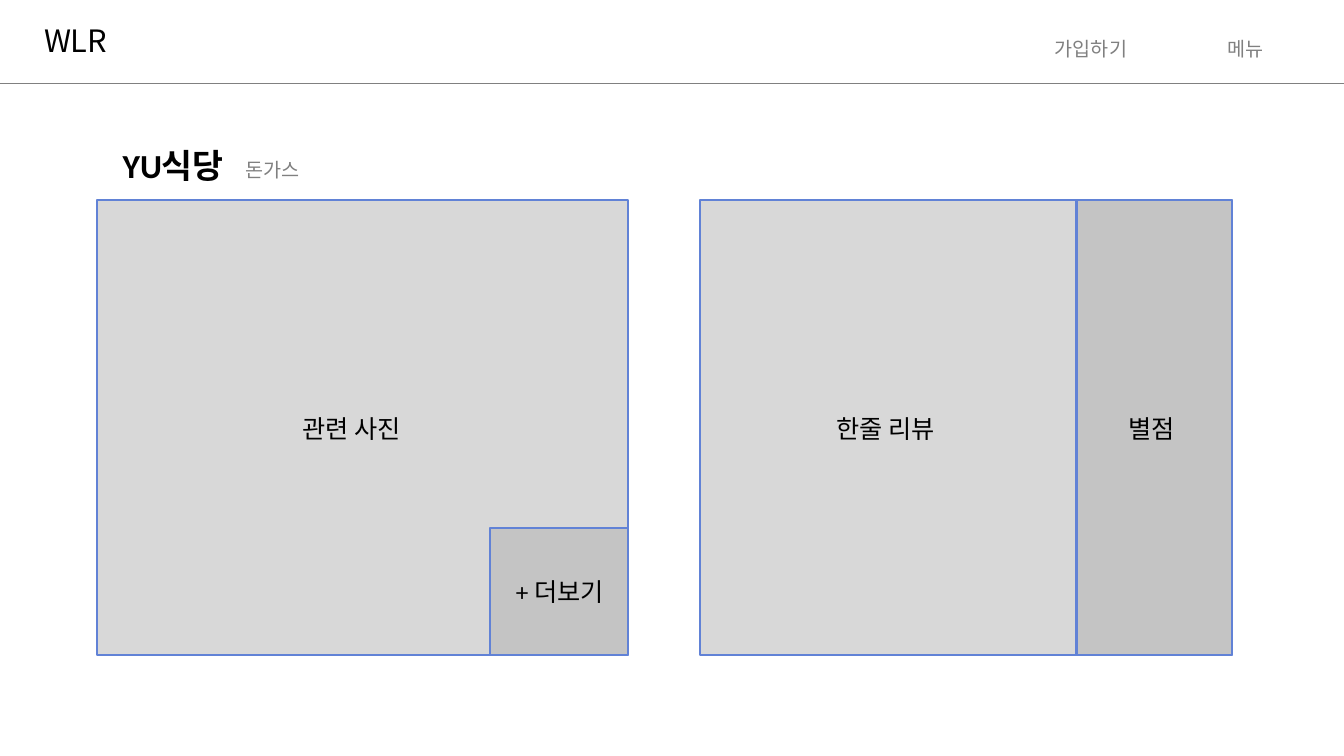
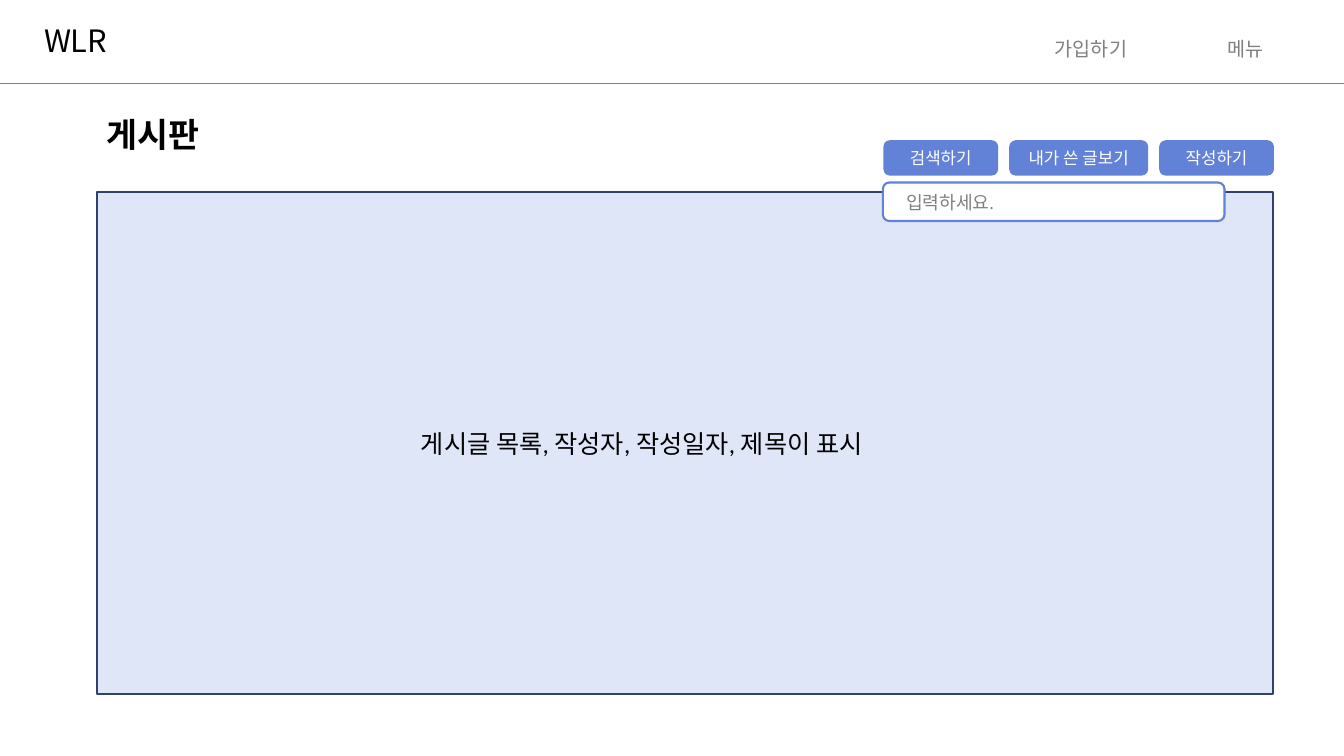
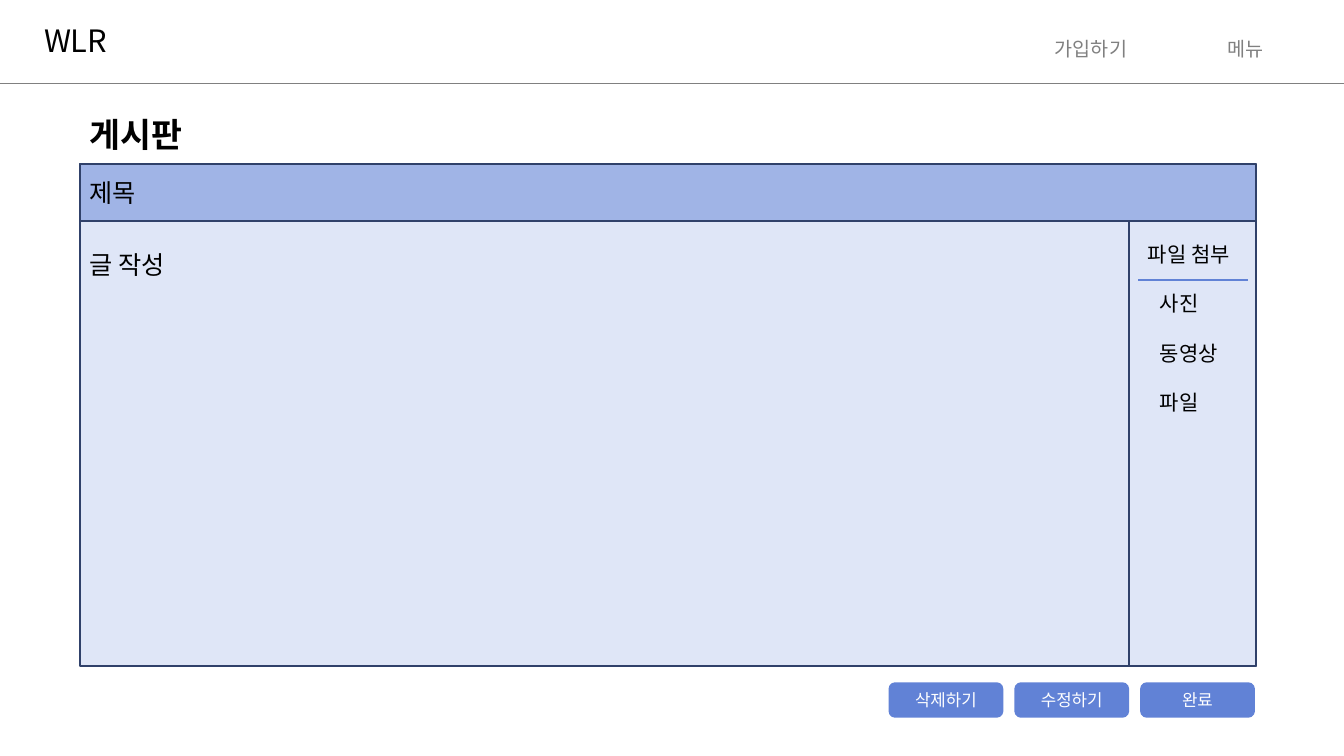
from pptx import Presentation
from pptx.dml.color import RGBColor
from pptx.enum.shapes import MSO_CONNECTOR, MSO_SHAPE
from pptx.enum.text import MSO_ANCHOR, PP_ALIGN
from pptx.oxml.ns import qn
from pptx.util import Cm, Pt
from lxml.etree import SubElement

# Shared style
BLACK = RGBColor(0x00, 0x00, 0x00)
WHITE = RGBColor(0xFF, 0xFF, 0xFF)
GRAY = RGBColor(0x80, 0x80, 0x80)
PANEL_GRAY = RGBColor(0xB2, 0xB2, 0xB2)
BLUE = RGBColor(0x61, 0x82, 0xD6)
PALE_BLUE = RGBColor(0xDF, 0xE6, 0xF7)
MID_BLUE = RGBColor(0xA0, 0xB4, 0xE6)
NAVY = RGBColor(0x30, 0x41, 0x6A)

BODY_FONT = "Calibri"
LOGO_FONT = "Noto Sans CJK KR"
SLIDE_W, SLIDE_H = 33.87, 19.05
BOARD_W, BOARD_H = 29.64, 12.65
BUTTON_W, BUTTON_H, BUTTON_GAP = 2.84, 0.84, 0.33


# Element builders (lengths in centimetres)
def add_run(paragraph, content, size, color, bold=False, font=BODY_FONT):
    run = paragraph.add_run()
    run.text = content
    run.font.size = Pt(size)
    run.font.bold = bold
    run.font.color.rgb = color
    run.font.name = font
    SubElement(run.font._element, qn("a:ea")).set("typeface", font)


def add_label(slide, x, y, width, lines, size=18, color=BLACK, bold=False,
              align=PP_ALIGN.LEFT, font=BODY_FONT, gap=0):
    height = len(lines) * size * 0.043 + 0.25
    frame = slide.shapes.add_textbox(Cm(x), Cm(y), Cm(width), Cm(height)).text_frame
    frame.word_wrap = True
    for index, line in enumerate(lines):
        paragraph = frame.add_paragraph() if index else frame.paragraphs[0]
        paragraph.alignment = align
        if index:
            paragraph.space_before = Pt(gap)
        add_run(paragraph, line, size, color, bold, font)


def add_box(slide, x, y, width, height, fill, line=NAVY, kind=MSO_SHAPE.RECTANGLE,
            opacity=None):
    box = slide.shapes.add_shape(kind, Cm(x), Cm(y), Cm(width), Cm(height))
    box.shadow.inherit = False
    box.fill.solid()
    box.fill.fore_color.rgb = fill
    box.line.color.rgb = line
    box.line.width = Pt(1.5)
    if opacity is not None:
        color = box._element.spPr.find(qn("a:solidFill"))[0]
        SubElement(color, qn("a:alpha")).set("val", str(opacity * 1000))
    return box


def add_gray_panel(slide, x, y, width, height):
    add_box(slide, x, y, width, height, PANEL_GRAY, BLUE, opacity=50)


def add_rule(slide, start, end, y, color, weight):
    rule = slide.shapes.add_connector(MSO_CONNECTOR.STRAIGHT,
                                      Cm(start), Cm(y), Cm(end), Cm(y))
    rule.line.color.rgb = color
    rule.line.width = Pt(weight)
    SubElement(rule._element.spPr, qn("a:effectLst"))


def add_button_row(slide, right, y, buttons):
    """Lay out (caption, width) buttons so that the last ends at right."""
    x = right - sum(width for _, width in buttons) - BUTTON_GAP * (len(buttons) - 1)
    for caption, width in buttons:
        button = add_box(slide, x, y, width, BUTTON_H, BLUE, BLUE,
                         MSO_SHAPE.ROUNDED_RECTANGLE)
        frame = button.text_frame
        frame.word_wrap = True
        frame.vertical_anchor = MSO_ANCHOR.MIDDLE
        frame.paragraphs[0].alignment = PP_ALIGN.CENTER
        add_run(frame.paragraphs[0], caption, 12, WHITE)
        x += width + BUTTON_GAP


def add_title(slide, x, y, title):
    add_label(slide, x, y, 4.29, [title], 24, bold=True)


def add_page(deck):
    """Add a blank slide with the common header."""
    slide = deck.slides.add_slide(deck.slide_layouts[6])
    add_label(slide, 0.86, 0.43, 2.7, ["WLR"], 22, font=LOGO_FONT)
    add_rule(slide, 0, SLIDE_W, 2.11, GRAY, 0.75)
    for x, entry in ((26.11, "가입하기"), (30, "메뉴")):
        add_label(slide, x, 0.81, 2.77, [entry], 14, GRAY, align=PP_ALIGN.CENTER)
    return slide


# Slides
def build_restaurant(deck):
    slide = add_page(deck)
    add_title(slide, 2.84, 3.52, "YU식당")
    add_label(slide, 5.49, 3.86, 2.77, ["돈가스"], 14, GRAY, align=PP_ALIGN.CENTER)

    # Photo and review panels, each with an inset at its lower right corner
    top, width, height = 5.05, 13.39, 11.46
    for left, inset_w, inset_h in ((2.44, 3.48, 3.2), (17.65, 3.91, height)):
        add_gray_panel(slide, left, top, width, height)
        add_gray_panel(slide, left + width - inset_w, top + height - inset_h,
                       inset_w, inset_h)

    for x, y, caption in ((7.37, 10.29, "관련 사진"), (12.75, 14.4, "+ 더보기"),
                          (20.83, 10.29, "한줄 리뷰"), (28.19, 10.29, "별점")):
        add_label(slide, x, y, 3.5, [caption])


def build_board_list(deck):
    slide = add_page(deck)
    left, top = 2.44, 4.85
    add_title(slide, left, 2.74, "게시판")
    add_box(slide, left, top, BOARD_W, BOARD_H, PALE_BLUE)
    add_label(slide, 10.36, 10.67, 13.77, ["게시글 목록, 작성자, 작성일자, 제목이 표시"])

    # Actions and search field
    add_button_row(slide, left + BOARD_W, 3.56,
                   [("검색하기", BUTTON_W), ("내가 쓴 글보기", 3.45), ("작성하기", BUTTON_W)])
    add_box(slide, 22.25, 4.6, 8.61, 0.97, WHITE, BLUE,
            MSO_SHAPE.FLOWCHART_ALTERNATE_PROCESS)
    add_label(slide, 22.25, 4.7, 3.38, ["입력하세요."], 13, GRAY, align=PP_ALIGN.CENTER)


def build_board_editor(deck):
    slide = add_page(deck)
    left, top, title_h = 2.01, 4.14, 1.42
    right = left + BOARD_W
    add_title(slide, left, 2.74, "게시판")
    add_box(slide, left, top, BOARD_W, BOARD_H, PALE_BLUE)
    add_box(slide, left, top, BOARD_W, title_h, MID_BLUE)
    add_label(slide, left, 4.34, 13.77, ["제목"])
    add_label(slide, left, 6.15, 13.77, ["글 작성"])

    # Attachment column
    column_w = 3.2
    add_box(slide, right - column_w, top + title_h, column_w, BOARD_H - title_h,
            PALE_BLUE)
    add_label(slide, 28.68, 5.97, 2.74, ["파일 첨부"], 15)
    add_rule(slide, 28.68, 31.45, 7.06, BLUE, 1.5)
    add_label(slide, 28.98, 7.19, 2.26, ["사진", "동영상", "파일"], 15, gap=17.6)

    add_button_row(slide, 31.6, 17.22,
                   [(caption, BUTTON_W) for caption in ("삭제하기", "수정하기", "완료")])


def main():
    deck = Presentation()
    deck.slide_width, deck.slide_height = Cm(SLIDE_W), Cm(SLIDE_H)
    build_restaurant(deck)
    build_board_list(deck)
    build_board_editor(deck)
    deck.save("out.pptx")


if __name__ == "__main__":
    main()
